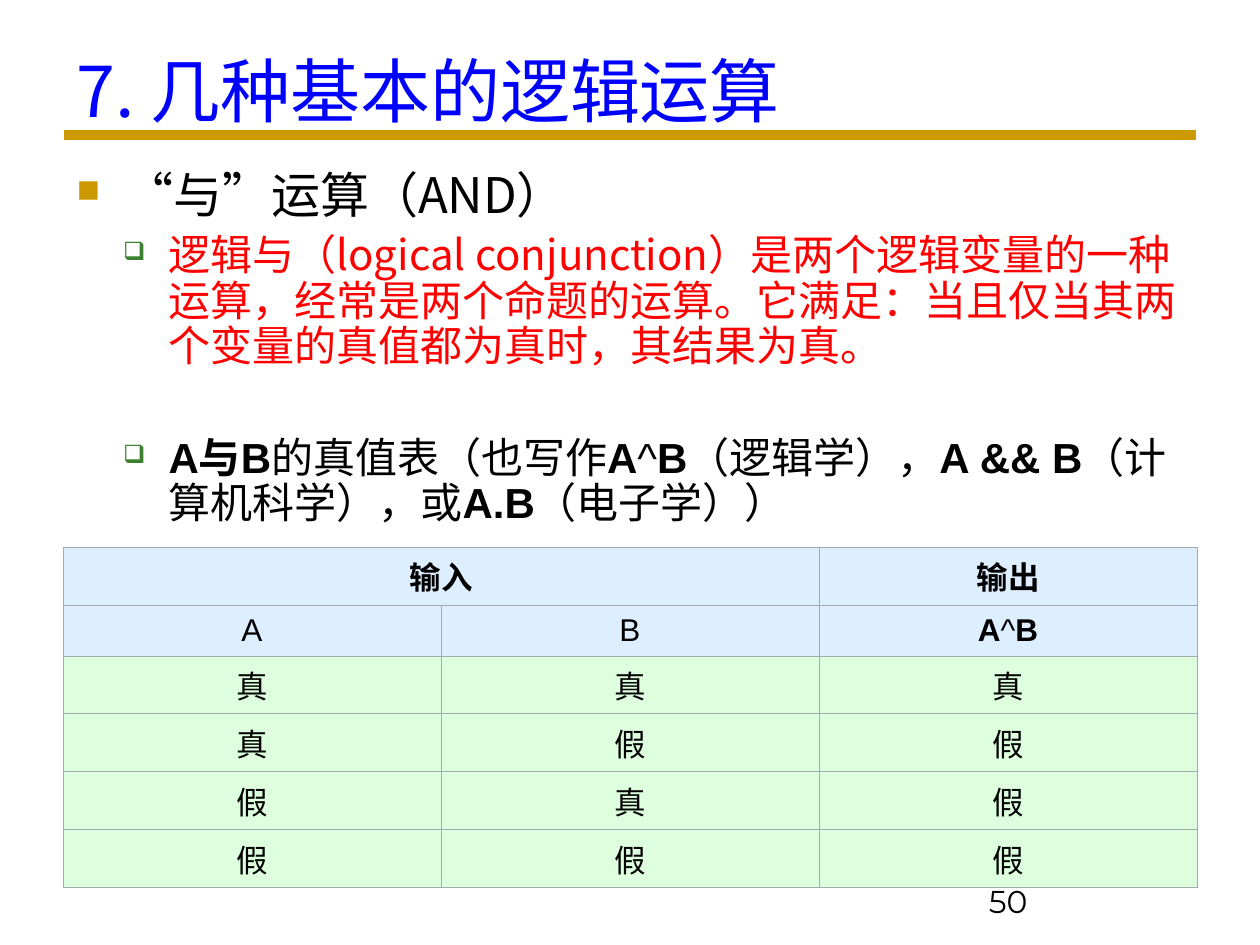
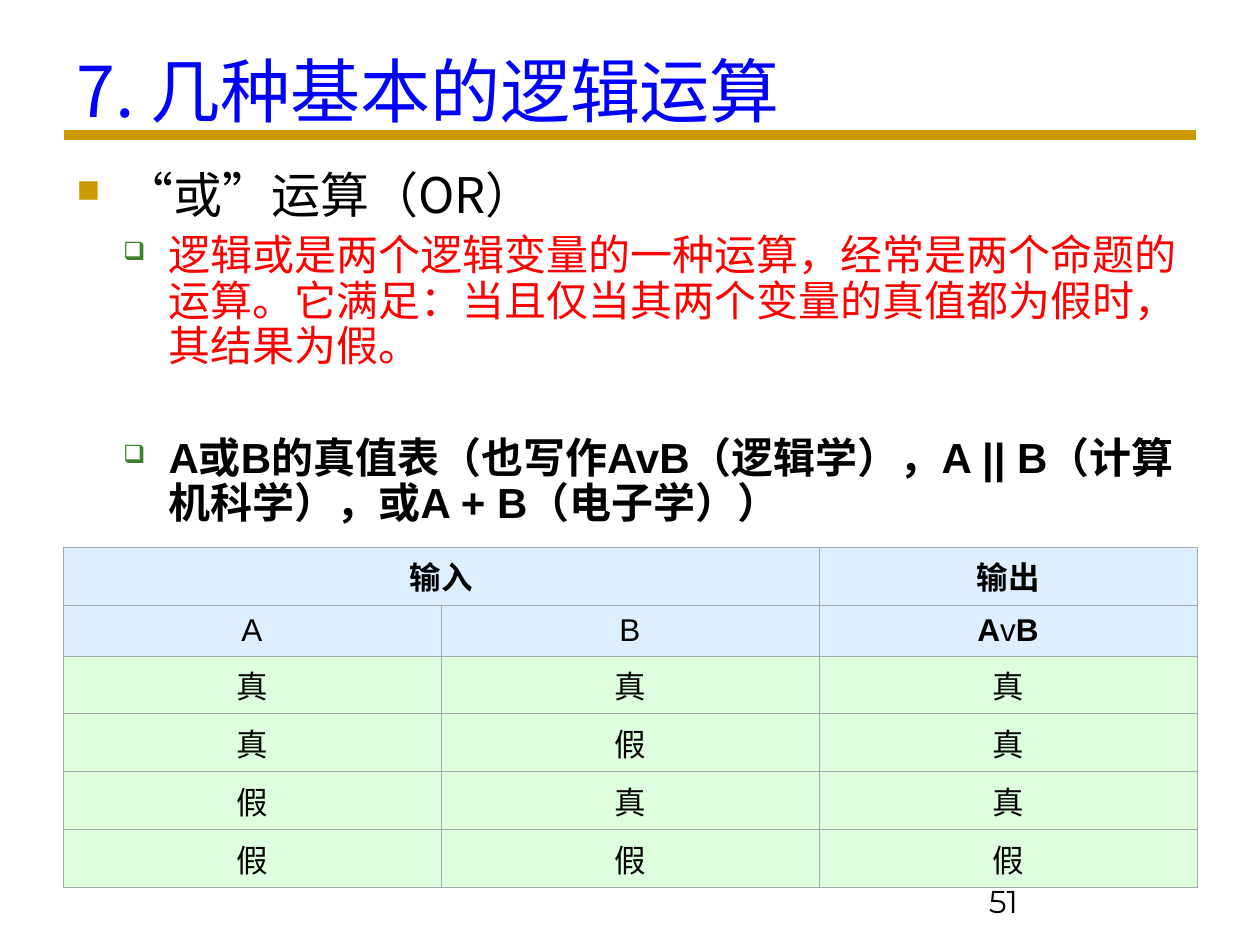
import dataclasses
import typing

import lxml.etree
import pptx
import pptx.dml.color
import pptx.enum.shapes
import pptx.enum.text
import pptx.oxml.ns
import pptx.util

RGBColor = pptx.dml.color.RGBColor
Pt = pptx.util.Pt
ALIGN = pptx.enum.text.PP_ALIGN

GOLD = RGBColor(0xCC, 0x99, 0x00)
GREEN = RGBColor(0x3B, 0x81, 0x2F)
BLUE = RGBColor(0x00, 0x00, 0xFF)
RED = RGBColor(0xFF, 0x00, 0x00)
BLACK = RGBColor(0x00, 0x00, 0x00)
HEAD_FILL = RGBColor(0xDD, 0xEE, 0xFF)
BODY_FILL = RGBColor(0xDD, 0xFF, 0xDD)
BORDER = RGBColor(0xA2, 0xA9, 0xB1)

CHINESE = "Noto Sans CJK SC"
LATIN = "Arial"
NUMBER = "Montserrat"
SYMBOL = "OpenSymbol"

# The page is a grid of 100 columns by 75 rows.
PAGE_WIDTH, PAGE_HEIGHT = pptx.util.Inches(10), pptx.util.Inches(7.5)
COLUMNS, ROWS = 100, 75
BODY_SPACING = 0.9


@dataclasses.dataclass(frozen=True)
class Area:
    """A rectangle in grid columns and rows."""
    left: float
    top: float
    width: float
    height: float

    def lengths(self) -> tuple[int, int, int, int]:
        return across(self.left), down(self.top), across(self.width), down(self.height)


@dataclasses.dataclass(frozen=True)
class Rule:
    """A horizontal line in grid columns and rows, with its weight in points."""
    left: float
    right: float
    top: float
    weight: float


@dataclasses.dataclass(frozen=True)
class Style:
    font: str
    size: int
    color: RGBColor = BLACK
    asian_font: str = CHINESE


@dataclasses.dataclass(frozen=True)
class Span:
    text: str
    bold: bool = False


@dataclasses.dataclass(frozen=True)
class Bullet:
    sign: str
    color: RGBColor
    percent: int
    level: int
    indent: float
    hang: float


@dataclasses.dataclass(frozen=True)
class Operation:
    number: str
    heading: str
    definition: str
    notation: tuple[Span, ...]
    symbol: str
    results: str


TITLE_AREA = Area(5.1, 3.3, 90, 8.8)
BODY_AREA = Area(5.1, 13.1, 90, 55.1)
NUMBER_AREA = Area(77.5, 69.5, 22.5, 4)
TABLE_AREA = Area(5, 43.4, 90, 24)
RULES = (Rule(5, 95, 69, 1.5), Rule(5.1, 94.9, 10.7, 6))
TALL_ROW, LETTER_ROW = 4.6, 4.05

TITLE_STYLE = Style(CHINESE, 40, BLUE)
HEADING_STYLE = Style(CHINESE, 28)
DEFINITION_STYLE = Style(CHINESE, 24, RED)
NOTATION_STYLE = Style(LATIN, 24)
CELL_STYLE = Style(LATIN, 18, asian_font="")
NUMBER_STYLE = Style(NUMBER, 18)

SQUARE = Bullet("■", GOLD, 65, 0, 3.8, 3.8)
BOX = Bullet("❑", GREEN, 60, 1, 7.3, 3.6)

TITLE = Span("7. 几种基本的逻辑运算")
INPUTS = ("真真", "真假", "假真", "假假")

OPERATIONS = (
    Operation(
        "50",
        "“与”运算（AND）",
        "逻辑与（logical conjunction）是两个逻辑变量的一种运算，经常是两个命题的运算。"
        "它满足：当且仅当其两个变量的真值都为真时，其结果为真。",
        (Span("A与B", True), Span("的真值表（也写作"), Span("A", True), Span("^"),
         Span("B", True), Span("（逻辑学），"), Span("A && B", True),
         Span("（计算机科学），或"), Span("A.B", True), Span("（电子学））")),
        "^",
        "真假假假",
    ),
    Operation(
        "51",
        "“或”运算（OR）",
        "逻辑或是两个逻辑变量的一种运算，经常是两个命题的运算。"
        "它满足：当且仅当其两个变量的真值都为假时，其结果为假。",
        (Span("A或B的真值表（也写作AvB（逻辑学），A || B（计算机科学），"
              "或A + B（电子学））", True),),
        "v",
        "真真真假",
    ),
)


def across(columns: float) -> int:
    return round(PAGE_WIDTH * columns / COLUMNS)


def down(rows: float) -> int:
    return round(PAGE_HEIGHT * rows / ROWS)


def add_element(parent: typing.Any, tag: str, **attributes: str) -> typing.Any:
    return lxml.etree.SubElement(parent, pptx.oxml.ns.qn(tag), attributes)


def write(para: typing.Any, spans: typing.Iterable[Span], style: Style) -> None:
    for span in spans:
        run = para.add_run()
        run.text = span.text
        run.font.name = style.font
        run.font.size = Pt(style.size)
        run.font.color.rgb = style.color
        run.font.bold = span.bold
        if style.asian_font:
            add_element(run.font._element, "a:ea", typeface=style.asian_font)


def set_bullet(para: typing.Any, bullet: Bullet) -> None:
    properties = para._p.get_or_add_pPr()
    properties.set("marL", str(across(bullet.indent)))
    properties.set("indent", str(-across(bullet.hang)))
    color = add_element(properties, "a:buClr")
    add_element(color, "a:srgbClr", val=str(bullet.color))
    add_element(properties, "a:buSzPct", val=str(bullet.percent * 1000))
    add_element(properties, "a:buFont", typeface=SYMBOL)
    add_element(properties, "a:buChar", char=bullet.sign)
    para.level = bullet.level


def add_text_frame(page: typing.Any, area: Area) -> typing.Any:
    frame = page.shapes.add_textbox(*area.lengths()).text_frame
    frame.word_wrap = True
    return frame


def add_line_of_text(page: typing.Any, area: Area, span: Span, style: Style) -> None:
    write(add_text_frame(page, area).paragraphs[0], (span,), style)


def add_rule(page: typing.Any, rule: Rule) -> None:
    line = page.shapes.add_connector(
        pptx.enum.shapes.MSO_CONNECTOR.STRAIGHT,
        across(rule.left), down(rule.top), across(rule.right), down(rule.top))
    line.line.color.rgb = GOLD
    line.line.width = Pt(rule.weight)
    add_element(line._element.spPr, "a:effectLst")


def add_body(page: typing.Any, operation: Operation) -> None:
    frame = add_text_frame(page, BODY_AREA)
    entries = (
        (SQUARE, HEADING_STYLE, (Span(operation.heading),), 0),
        (BOX, DEFINITION_STYLE, (Span(operation.definition),), 6),
        (BOX, NOTATION_STYLE, operation.notation, 38),
    )
    for index, (bullet, style, spans, gap) in enumerate(entries):
        para = frame.add_paragraph() if index else frame.paragraphs[0]
        set_bullet(para, bullet)
        para.line_spacing = BODY_SPACING
        if gap:
            para.space_before = Pt(gap)
        write(para, spans, style)


def set_cell(cell: typing.Any, spans: typing.Iterable[Span], color: RGBColor) -> None:
    cell.vertical_anchor = pptx.enum.text.MSO_ANCHOR.MIDDLE
    para = cell.text_frame.paragraphs[0]
    para.alignment = ALIGN.CENTER
    write(para, spans, CELL_STYLE)
    properties = cell._tc.get_or_add_tcPr()
    for side in ("a:lnL", "a:lnR", "a:lnT", "a:lnB"):
        line = add_element(properties, side, w=str(Pt(0.34)))
        fill = add_element(line, "a:solidFill")
        add_element(fill, "a:srgbClr", val=str(BORDER))
    cell.fill.solid()
    cell.fill.fore_color.rgb = color


def add_truth_table(page: typing.Any, operation: Operation) -> None:
    rows: list[list[tuple[Span, ...]]] = [
        [(Span("输入", True),), (), (Span("输出", True),)],
        [(Span("A"),), (Span("B"),),
         (Span("A", True), Span(operation.symbol), Span("B", True))],
    ]
    for inputs, result in zip(INPUTS, operation.results):
        rows.append([(Span(value),) for value in inputs + result])
    table = page.shapes.add_table(len(rows), len(rows[0]), *TABLE_AREA.lengths()).table
    for row, cells in enumerate(rows):
        table.rows[row].height = down(LETTER_ROW if row == 1 else TALL_ROW)
        for column, spans in enumerate(cells):
            set_cell(table.cell(row, column), spans, HEAD_FILL if row < 2 else BODY_FILL)
    table.cell(0, 0).merge(table.cell(0, 1))


def main() -> None:
    deck = pptx.Presentation()
    deck.slide_width, deck.slide_height = PAGE_WIDTH, PAGE_HEIGHT
    for operation in OPERATIONS:
        page = deck.slides.add_slide(deck.slide_layouts[6])
        for rule in RULES:
            add_rule(page, rule)
        add_line_of_text(page, TITLE_AREA, TITLE, TITLE_STYLE)
        add_body(page, operation)
        add_line_of_text(page, NUMBER_AREA, Span(operation.number), NUMBER_STYLE)
        add_truth_table(page, operation)
    deck.save("out.pptx")


if __name__ == "__main__":
    main()
